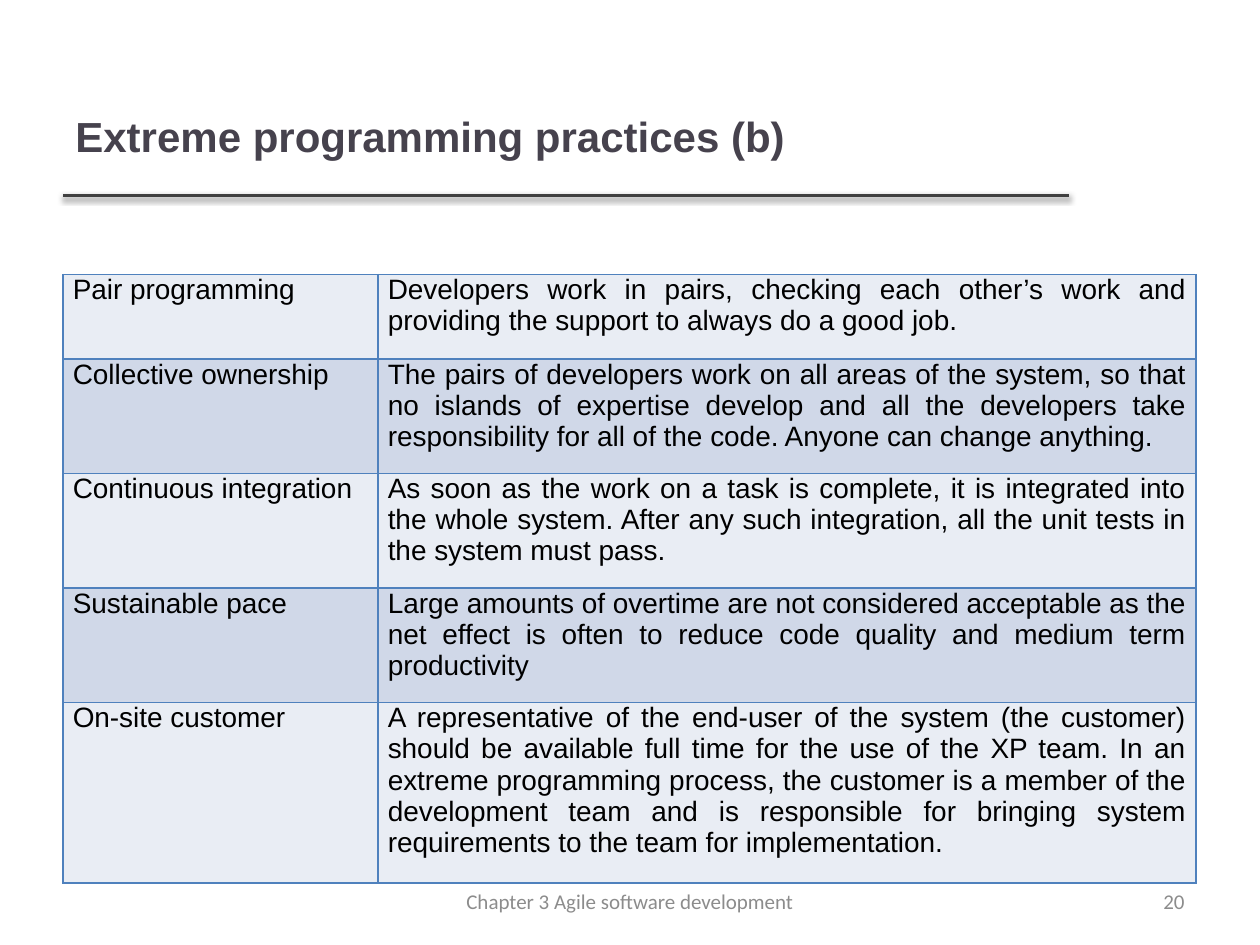
from lxml.etree import SubElement
from pptx import Presentation
from pptx.dml.color import RGBColor
from pptx.enum.shapes import MSO_CONNECTOR
from pptx.enum.text import MSO_ANCHOR, PP_ALIGN
from pptx.oxml import parse_xml
from pptx.oxml.ns import nsdecls, qn
from pptx.util import Pt

HUES = {"title": "46424D", "rule": "404040", "edge": "4F81BD", "text": "000000",
        "foot": "8C8C8C", "light": "E9EDF4", "dark": "D0D8E8"}
ROWS = [
    ("Pair programming",
     "Developers work in pairs, checking each other’s work and providing the support "
     "to always do a good job.", 48.2),
    ("Collective ownership",
     "The pairs of developers work on all areas of the system, so that no islands of "
     "expertise develop and all the developers take responsibility for all of the code. "
     "Anyone can change anything.", 65.5),
    ("Continuous integration",
     "As soon as the work on a task is complete, it is integrated into the whole system. "
     "After any such integration, all the unit tests in the system must pass.", 65.5),
    ("Sustainable pace",
     "Large amounts of overtime are not considered acceptable as the net effect is often "
     "to reduce code quality and medium term productivity", 65.5),
    ("On-site customer",
     "A representative of the end-user of the system (the customer) should be available "
     "full time for the use of the XP team. In an extreme programming process, the customer "
     "is a member of the development team and is responsible for bringing system "
     "requirements to the team for implementation.", 101),
]
COLS = [180, 467.3]
LEFT, TOP = 36, 156.9
BOXES = [
    ("Extreme programming practices (b)", (36, 21.6, 575, 111.6),
     PP_ALIGN.LEFT, "Arial", 24, "title", True),
    ("Chapter 3 Agile software development", (246, 500.5, 228, 28.75),
     PP_ALIGN.CENTER, "Calibri", 12, "foot", False),
    ("20", (516, 500.5, 168, 28.75), PP_ALIGN.RIGHT, "Calibri", 12, "foot", False),
]


def color(name):
    return RGBColor.from_string(HUES[name])


def write(frame, text, align, face, size, hue, bold=False):
    para = frame.paragraphs[0]
    para.alignment = align
    run = para.add_run()
    run.text = text
    font = run.font
    font.name, font.size, font.bold = face, Pt(size), bold
    font.color.rgb = color(hue)


def edge(cell):
    props = cell._tc.get_or_add_tcPr()
    for spot, side in enumerate("LRTB"):
        line = parse_xml(
            f'<a:ln{side} {nsdecls("a")} w="{Pt(1)}"><a:solidFill>'
            f'<a:srgbClr val="{HUES["edge"]}"/></a:solidFill></a:ln{side}>')
        props.insert(spot, line)


deck = Presentation()
deck.slide_width, deck.slide_height = Pt(720), Pt(540)
slide = deck.slides.add_slide(deck.slide_layouts[6])
shapes = slide.shapes

rule = shapes.add_connector(MSO_CONNECTOR.STRAIGHT, Pt(36), Pt(111.6), Pt(611), Pt(111.6))
rule.line.color.rgb = color("rule")
rule.line.width = Pt(2)
glow = SubElement(rule._element.spPr, qn("a:effectLst"))
shade = SubElement(glow, qn("a:outerShdw"), blurRad=str(Pt(3.1)), dist=str(Pt(1.6)),
                   dir="5400000", rotWithShape="0")
tint = SubElement(shade, qn("a:srgbClr"), val="000000")
SubElement(tint, qn("a:alpha"), val="38000")

for text, place, *style in BOXES:
    frame = shapes.add_textbox(*map(Pt, place)).text_frame
    frame.word_wrap = True
    frame.vertical_anchor = MSO_ANCHOR.MIDDLE
    write(frame, text, *style)

table = shapes.add_table(len(ROWS), len(COLS), Pt(LEFT), Pt(TOP), Pt(sum(COLS)),
                         Pt(sum(row[2] for row in ROWS))).table
table.first_row = table.horz_banding = False
for col, width in zip(table.columns, COLS):
    col.width = Pt(width)
for r, (*texts, height) in enumerate(ROWS):
    table.rows[r].height = Pt(height)
    for c, text in enumerate(texts):
        cell = table.cell(r, c)
        cell.margin_left = cell.margin_right = Pt(5.6)
        cell.margin_top, cell.margin_bottom = Pt(0), Pt(7.2)
        cell.fill.solid()
        cell.fill.fore_color.rgb = color("dark" if r % 2 else "light")
        edge(cell)
        write(cell.text_frame, text, PP_ALIGN.JUSTIFY, "Arial", 16, "text")

deck.save("out.pptx")
